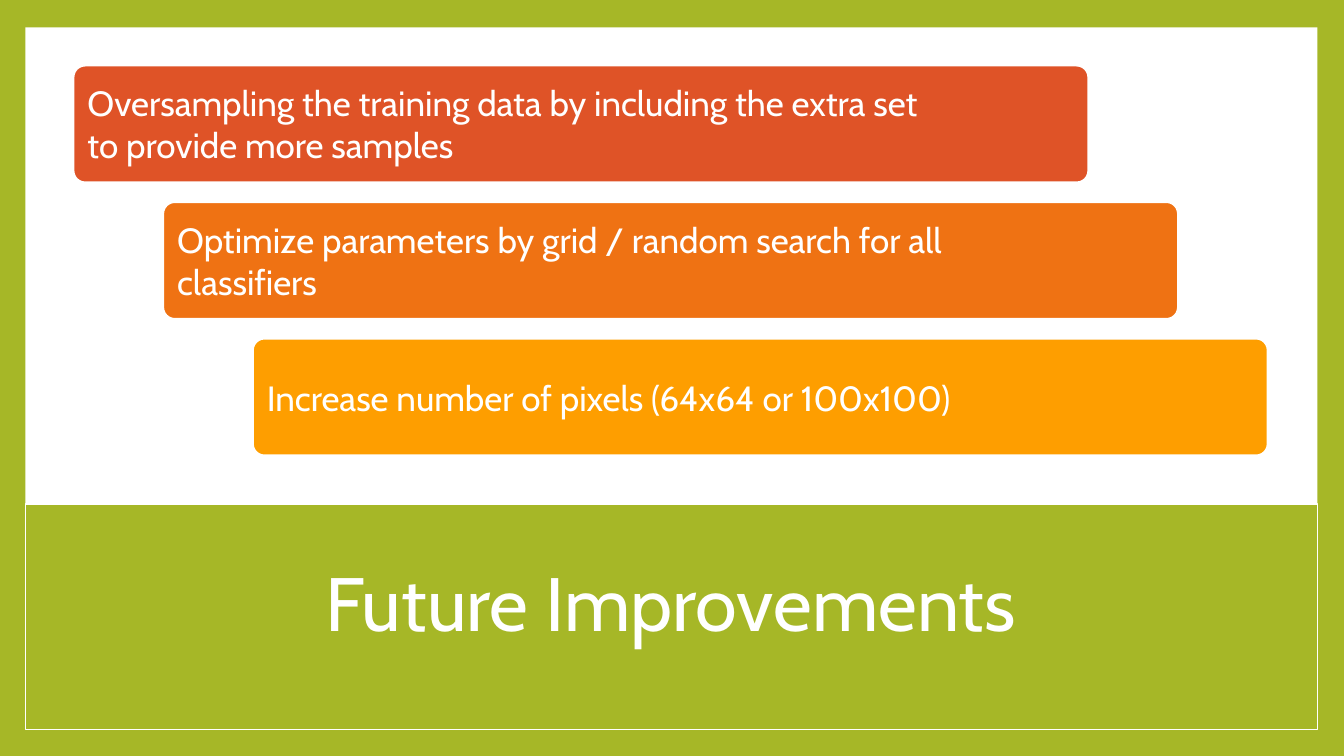
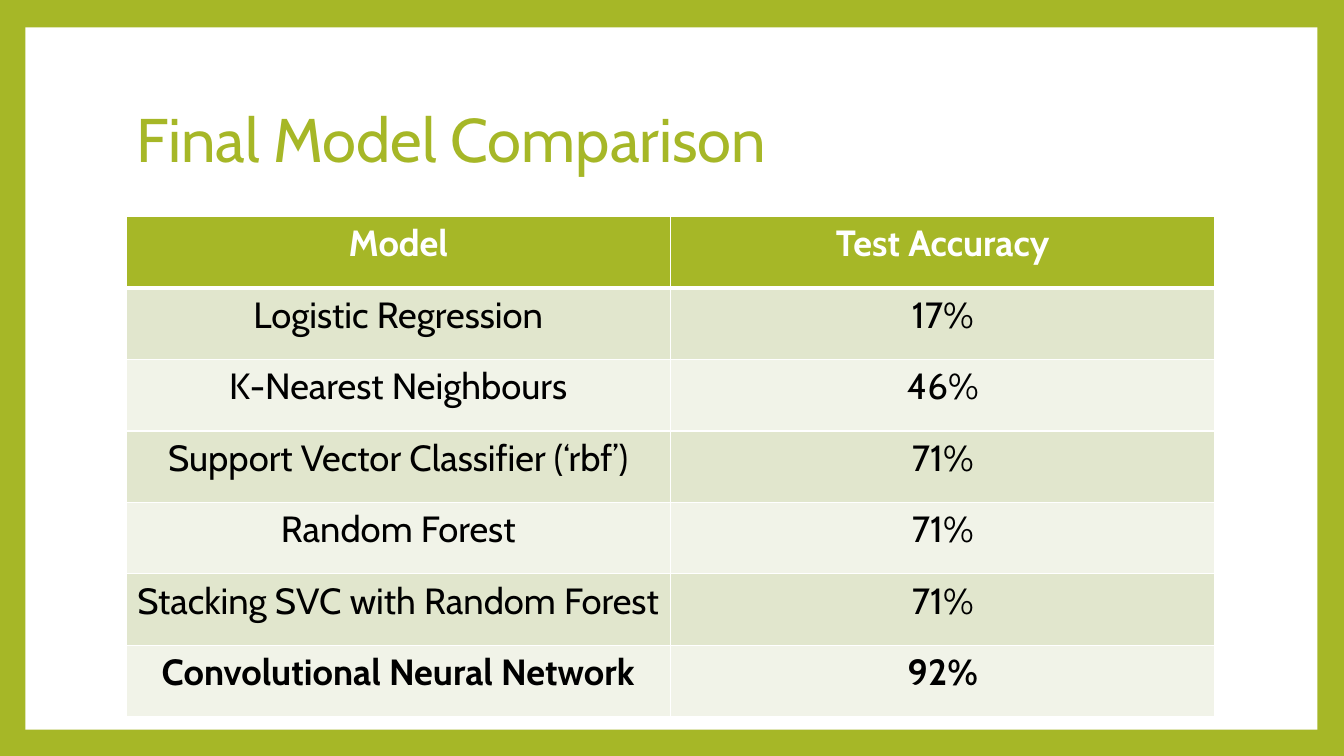
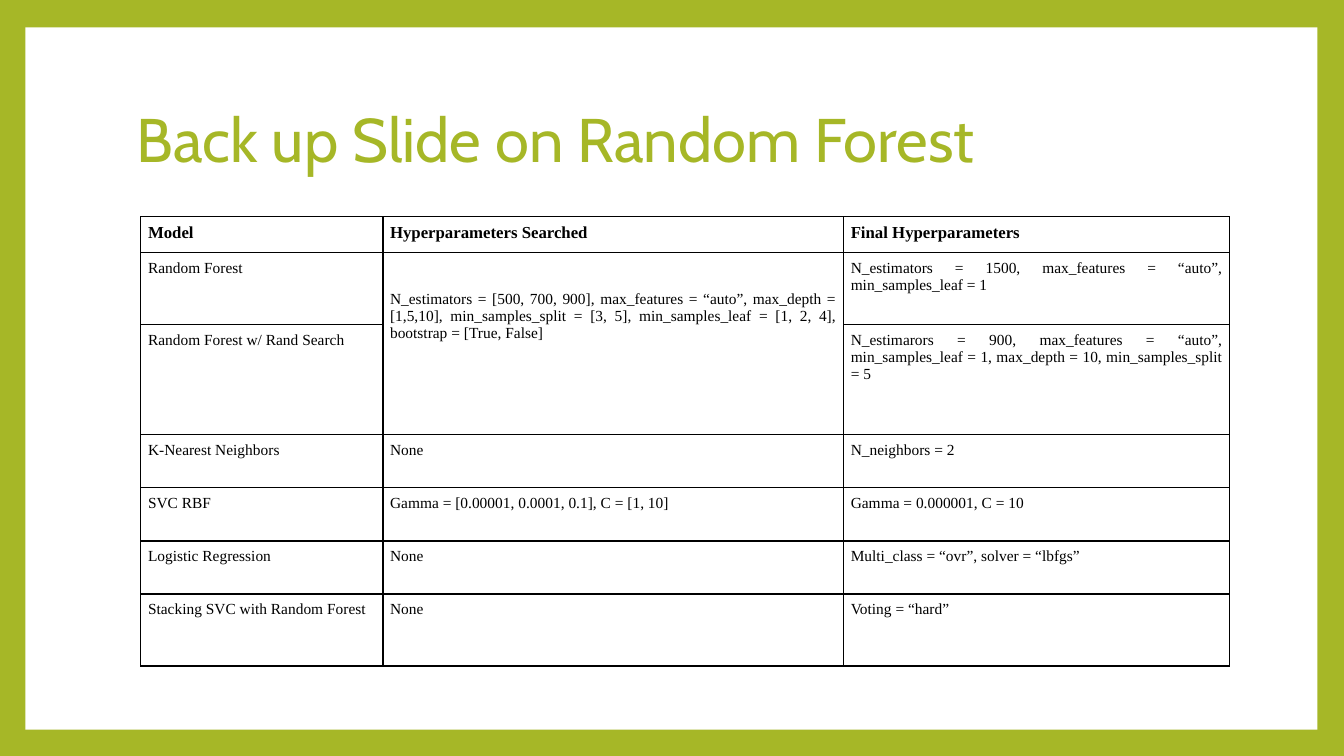
from lxml import etree
from pptx import Presentation
from pptx.dml.color import RGBColor
from pptx.enum import shapes, text
from pptx.oxml import ns
from pptx.util import Cm, Pt

GREEN = RGBColor(0xA6, 0xB7, 0x27)
WHITE = RGBColor(0xFF, 0xFF, 0xFF)
BLACK = RGBColor(0x00, 0x00, 0x00)
RED = RGBColor(0xDF, 0x53, 0x27)
ORANGE = RGBColor(0xEF, 0x72, 0x13)
AMBER = RGBColor(0xFE, 0x9E, 0x00)
BANDS = (RGBColor(0xE1, 0xE6, 0xCD), RGBColor(0xF1, 0xF3, 0xE8))

SANS = "Cabin"
SERIF = "Times New Roman"
ALIGN = text.PP_ALIGN
MIDDLE = text.MSO_ANCHOR.MIDDLE

PANEL = (0.64, 0.69, 32.56, 17.7)
TITLE_BAND = (0.64, 12.7, 32.56, 5.69)
TITLE = (3.18, 1.7, 27.43, 3.76)
BAND_TITLE = (3.18, 13.41, 27.43, 3.76)

IMPROVEMENTS = (
    ("Oversampling the training data by including the extra set to provide more samples", RED, 3.26),
    ("Optimize parameters by grid / random search for all classifiers", ORANGE, 4.43),
    ("Increase number of pixels (64x64 or 100x100)", AMBER, 4.43),
)

ACCURACY = (
    ("Model", "Test Accuracy"),
    ("Logistic Regression", "17%"),
    ("K-Nearest Neighbours", "46%"),
    ("Support Vector Classifier (‘rbf’)", "71%"),
    ("Random Forest", "71%"),
    ("Stacking SVC with Random Forest", "71%"),
    ("Convolutional Neural Network", "92%"),
)

HYPERPARAMETERS = (
    ("Model", "Hyperparameters Searched", "Final Hyperparameters"),
    ("Random Forest",
     "N_estimators = [500, 700, 900], max_features = “auto”, max_depth = [1,5,10], "
     "min_samples_split = [3, 5], min_samples_leaf = [1, 2, 4], bootstrap = [True, False]",
     "N_estimators = 1500, max_features = “auto”, min_samples_leaf = 1"),
    ("Random Forest w/ Rand Search", "",
     "N_estimarors = 900, max_features = “auto”, min_samples_leaf = 1, "
     "max_depth = 10, min_samples_split = 5"),
    ("K-Nearest Neighbors", "None", "N_neighbors = 2"),
    ("SVC RBF", "Gamma = [0.00001, 0.0001, 0.1], C = [1, 10]", "Gamma = 0.000001, C = 10"),
    ("Logistic Regression", "None", "Multi_class = “ovr”, solver = “lbfgs”"),
    ("Stacking SVC with Random Forest", "None", "Voting = “hard”"),
)


def apply(target, values):
    for name, value in values.items():
        setattr(target, name, value)


def place(box, frame):
    apply(box, dict(zip(("left", "top", "width", "height"), map(Cm, frame))))


def write(frame, words, size, color, font=SANS, bold=False, **layout):
    para = frame.paragraphs[0]
    apply(para, layout)
    span = para.add_run()
    span.text = words
    apply(span.font, {"name": font, "size": Pt(size), "bold": bold})
    span.font.color.rgb = color


def add_block(page, kind, frame, fill, line_width=0):
    block = page.shapes.add_shape(kind, *map(Cm, frame))
    block.shadow.inherit = False
    block.fill.solid()
    block.fill.fore_color.rgb = fill
    if line_width:
        block.line.color.rgb = WHITE
        block.line.width = Pt(line_width)
    else:
        block.line.fill.background()
    return block


def add_page(deck, layout, words, frame=TITLE, size=44, color=GREEN, align=ALIGN.LEFT):
    page = deck.slides.add_slide(layout)
    title = page.shapes.title
    place(title, frame)
    apply(title.text_frame, {"word_wrap": True, "auto_size": text.MSO_AUTO_SIZE.NONE,
                             "vertical_anchor": MIDDLE})
    write(title.text_frame, words, size, color, alignment=align, line_spacing=0.9)
    return page


def add_card(page, frame, words, fill, right_margin):
    card = add_block(page, shapes.MSO_SHAPE.ROUNDED_RECTANGLE, frame, fill, 1.5)
    card.adjustments[0] = 0.1
    apply(card.text_frame, {"word_wrap": True, "vertical_anchor": MIDDLE,
                            "margin_left": Cm(0.27), "margin_right": Cm(right_margin),
                            "margin_top": Cm(0.27), "margin_bottom": Cm(0.27)})
    write(card.text_frame, words, 25, WHITE, alignment=ALIGN.LEFT)


def add_grid(page, frame, rows, widths, heights):
    grid = page.shapes.add_table(len(rows), len(widths), *map(Cm, frame)).table
    apply(grid, {"first_row": False, "horz_banding": False})
    for column, width in zip(grid.columns, widths):
        column.width = Cm(width)
    for row, height in zip(grid.rows, heights):
        row.height = Cm(height)
    return grid


def set_borders(cell, color, top=1, bottom=1):
    properties = cell._tc.get_or_add_tcPr()
    for side, width in (("L", 1), ("R", 1), ("T", top), ("B", bottom)):
        line = etree.SubElement(properties, ns.qn(f"a:ln{side}"), w=str(Pt(width)))
        fill = etree.SubElement(line, ns.qn("a:solidFill"))
        etree.SubElement(fill, ns.qn("a:srgbClr"), val=str(color))


def build_improvements(deck, layout):
    page = add_page(deck, layout, "Future Improvements", BAND_TITLE, 54, WHITE, ALIGN.CENTER)
    band = add_block(page, shapes.MSO_SHAPE.RECTANGLE, TITLE_BAND, GREEN, 1)
    page.shapes.title.element.addprevious(band.element)
    for step, (words, fill, right_margin) in enumerate(IMPROVEMENTS):
        frame = (1.85 + 2.26 * step, 1.65 + 3.44 * step, 25.58, 2.95)
        add_card(page, frame, words, fill, right_margin)


def build_accuracy(deck, layout):
    page = add_page(deck, layout, "Final Model Comparison")
    count = len(ACCURACY)
    grid = add_grid(page, (3.18, 5.46, 27.43, 12.6), ACCURACY, [13.72] * 2, [1.8] * count)
    for index, row in enumerate(ACCURACY):
        header = index == 0
        for column, words in enumerate(row):
            cell = grid.cell(index, column)
            set_borders(cell, WHITE, 3 if index == 1 else 1, 3 if header else 1)
            cell.fill.solid()
            cell.fill.fore_color.rgb = GREEN if header else BANDS[(index - 1) % 2]
            write(cell.text_frame, words, 26, WHITE if header else BLACK,
                  bold=index in (0, count - 1), alignment=ALIGN.CENTER)


def build_hyperparameters(deck, layout):
    page = add_page(deck, layout, "Back up Slide on Random Forest")
    grid = add_grid(page, (3.55, 5.46, 27.44, 11.32), HYPERPARAMETERS, (6.1, 11.61, 9.73),
                    (0.91, 1.81, 2.77, 1.34, 1.34, 1.34, 1.81))
    searched = grid.cell(1, 1)
    searched.merge(grid.cell(2, 1))
    sides = ("left", "right", "top", "bottom")
    for index, row in enumerate(HYPERPARAMETERS):
        header = index == 0
        for column, words in enumerate(row):
            cell = grid.cell(index, column)
            apply(cell, {f"margin_{side}": Cm(0.18) for side in sides})
            set_borders(cell, BLACK)
            cell.fill.background()
            if words:
                write(cell.text_frame, words, 12 if header else 11, BLACK, SERIF, header,
                      alignment=ALIGN.JUSTIFY)
    searched.margin_top = Cm(0.95)


def main():
    deck = Presentation()
    apply(deck, {"slide_width": Cm(33.87), "slide_height": Cm(19.05)})
    layout = deck.slide_layouts.get_by_name("Title Only")
    background = deck.slide_master.background.fill
    background.solid()
    background.fore_color.rgb = GREEN

    build_improvements(deck, layout)
    build_accuracy(deck, layout)
    build_hyperparameters(deck, layout)

    panel = add_block(deck.slides[0], shapes.MSO_SHAPE.RECTANGLE, PANEL, WHITE)
    layout.shapes.element.insert(2, panel.element)
    deck.save("out.pptx")


main()
